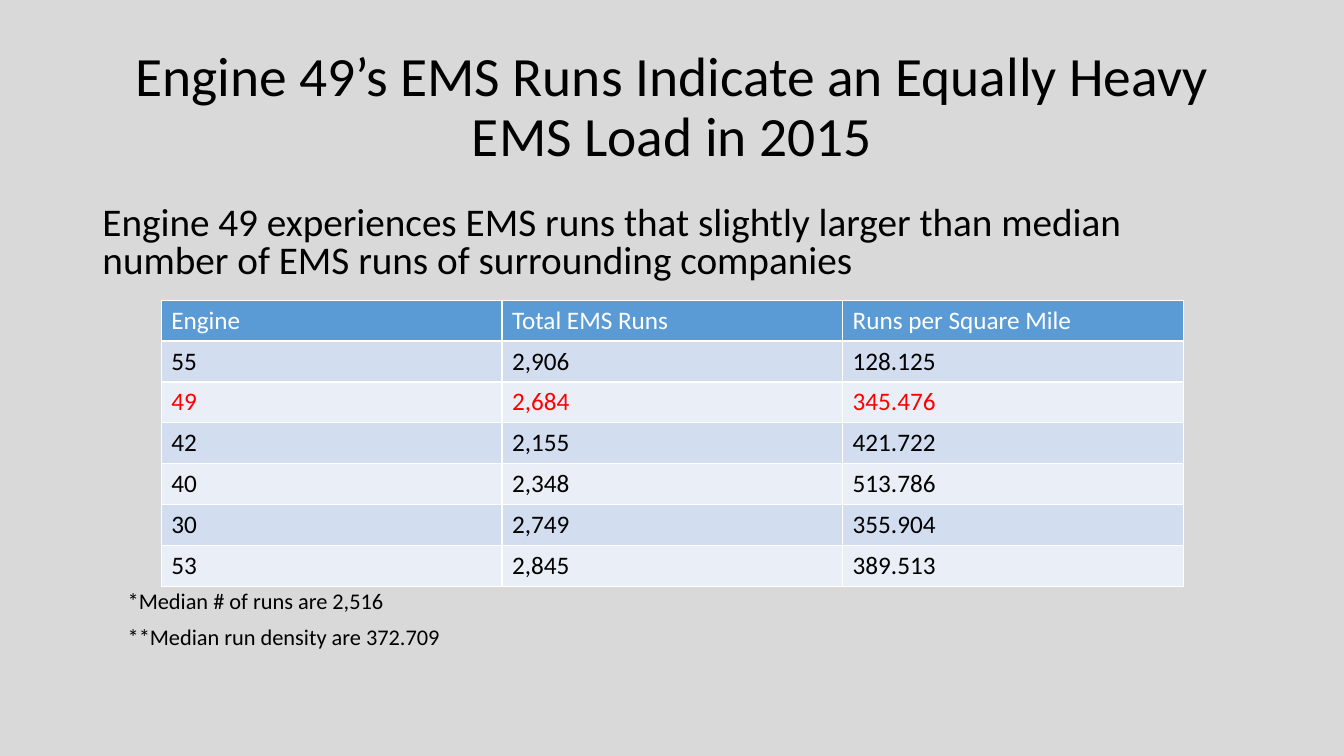
from dataclasses import dataclass

from lxml.etree import SubElement
from pptx import Presentation
from pptx.dml.color import RGBColor
from pptx.enum.text import MSO_ANCHOR, MSO_AUTO_SIZE, PP_ALIGN
from pptx.oxml.ns import qn
from pptx.util import Pt

TITLE = "Engine 49’s EMS Runs Indicate an Equally Heavy EMS Load in 2015"
LEAD = ("Engine 49 experiences EMS runs that slightly larger than median "
        "number of EMS runs of surrounding companies")
NOTES = ["*Median # of runs are 2,516", "**Median run density are 372.709"]
HEAD = ("Engine", "Total EMS Runs", "Runs per Square Mile")
RUNS = [
    ("55", "2,906", "128.125"),
    ("49", "2,684", "345.476"),
    ("42", "2,155", "421.722"),
    ("40", "2,348", "513.786"),
    ("30", "2,749", "355.904"),
    ("53", "2,845", "389.513"),
]
FOCUS = "49"


@dataclass(frozen=True)
class Theme:
    """Colours, font and type sizes of the slide."""
    font: str = "Calibri"
    back: str = "D9D9D9"
    ink: str = "000000"
    light: str = "FFFFFF"
    mark: str = "FF0000"
    head: str = "5B9BD5"
    bands: tuple = ("D2DEEF", "EAEFF7")
    title: float = 39.6
    lead: float = 28
    cell: float = 18
    note: float = 16


THEME = Theme()


def paint(fill, color):
    """Give a fill one solid colour."""
    fill.solid()
    fill.fore_color.rgb = RGBColor.from_string(color)


def write(para, text, size, color=THEME.ink, align=PP_ALIGN.LEFT,
          lines=1.0, before=0, indent=None):
    """Put formatted text in a paragraph."""
    para.alignment = align
    para.line_spacing = lines
    para.space_before = Pt(before)
    run = para.add_run()
    run.text = text
    font = run.font
    font.name, font.size, font.bold = THEME.font, Pt(size), False
    font.color.rgb = RGBColor.from_string(color)
    if indent is not None:
        props = para._p.get_or_add_pPr()
        props.set("marL", str(Pt(indent)))
        props.set("indent", "0")
        SubElement(props, qn("a:buNone"))


def place(shape, left, top, width, height, anchor):
    """Move a placeholder and return its text frame."""
    shape.left, shape.top = Pt(left), Pt(top)
    shape.width, shape.height = Pt(width), Pt(height)
    frame = shape.text_frame
    frame.auto_size = MSO_AUTO_SIZE.NONE
    frame.vertical_anchor = anchor
    return frame


def add_runs(slide, left, top, width, high):
    """Draw the table of runs per engine."""
    rows = [HEAD] + RUNS
    table = slide.shapes.add_table(
        len(rows), len(HEAD), Pt(left), Pt(top),
        Pt(width), Pt(high * len(rows))).table
    for col in table.columns:
        col.width = Pt(width / len(HEAD))
    for r, row in enumerate(rows):
        table.rows[r].height = Pt(high)
        fill = THEME.bands[(r - 1) % 2] if r else THEME.head
        ink = THEME.mark if row[0] == FOCUS else THEME.ink
        for c, text in enumerate(row):
            cell = table.cell(r, c)
            paint(cell.fill, fill)
            write(cell.text_frame.paragraphs[0], text, THEME.cell,
                  color=ink if r else THEME.light)


def main():
    """Build and save the slide."""
    deck = Presentation()
    deck.slide_width, deck.slide_height = Pt(960), Pt(540)
    slide = deck.slides.add_slide(deck.slide_layouts[1])
    paint(slide.background.fill, THEME.back)

    title = place(slide.shapes.title, 66, 28.8, 828, 98, MSO_ANCHOR.MIDDLE)
    write(title.paragraphs[0], TITLE, THEME.title,
          align=PP_ALIGN.CENTER, lines=0.9)

    body = place(slide.placeholders[1], 66, 144, 828, 342.7, MSO_ANCHOR.TOP)
    write(body.paragraphs[0], LEAD, THEME.lead,
          lines=0.8, before=10, indent=0)
    for text, gap in zip(NOTES, (222, 10)):
        write(body.add_paragraph(), text, THEME.note,
              lines=0.8, before=gap, indent=18)

    add_runs(slide, 115.2, 214.4, 730, 29.2)
    deck.save("out.pptx")


if __name__ == "__main__":
    main()
